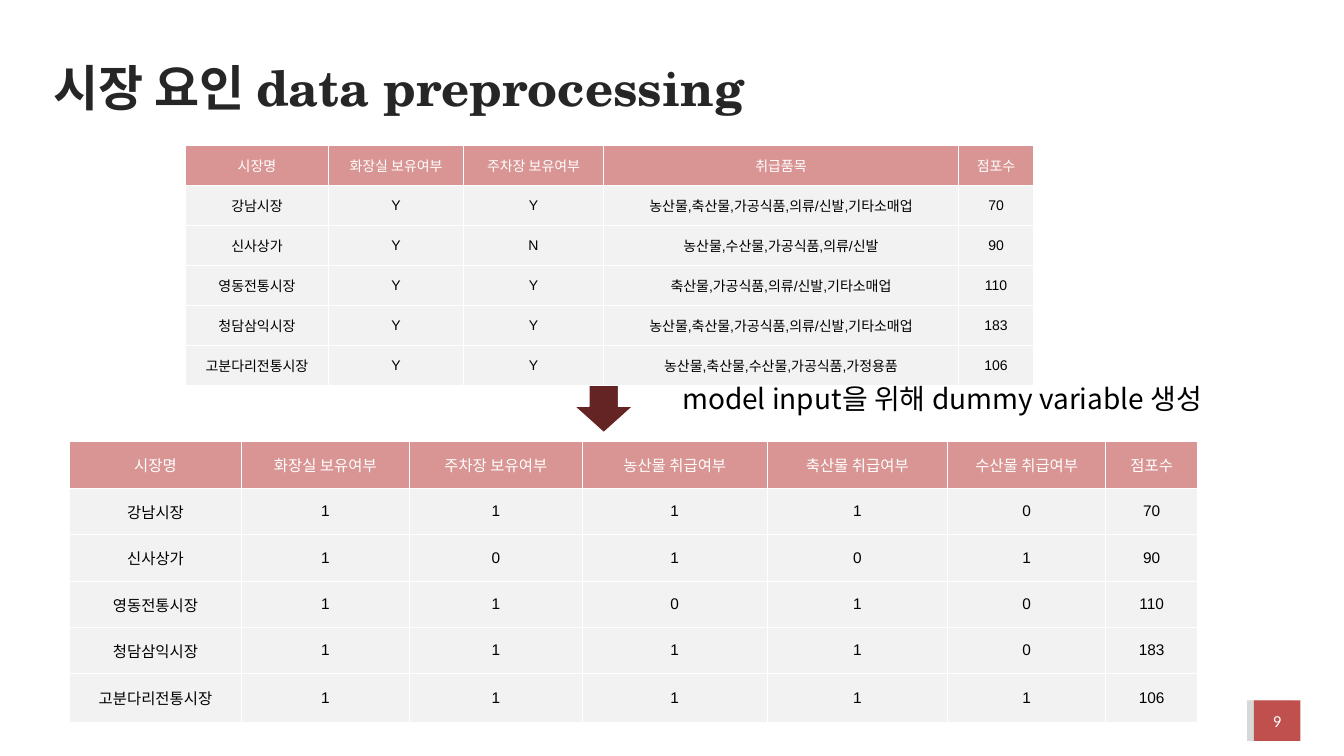
from dataclasses import dataclass

from lxml import etree
from pptx import Presentation
from pptx.dml.color import RGBColor
from pptx.enum import shapes, text
from pptx.oxml import ns
from pptx.util import Cm, Pt


@dataclass(frozen=True)
class Theme:
    white: str = "FFFFFF"
    black: str = "000000"
    title_ink: str = "262626"
    header: str = "D99593"
    body: str = "F2F2F2"
    arrow: str = "632423"
    badge: str = "C0504D"
    badge_edge: str = "D8D8D8"
    title_font: str = "TeX Gyre Schola"
    note_font: str = "Noto Sans CJK KR"
    table_font: str = "Arial"
    number_font: str = "Calibri"
    title_size: int = 35
    note_size: int = 20
    number_size: int = 12
    raw_size: int = 10
    dummy_size: int = 11
    rule: float = 0.75


THEME = Theme()

RAW_HEADER = ["시장명", "화장실 보유여부", "주차장 보유여부", "취급품목", "점포수"]
MARKETS = [
    ("강남시장", "Y", "Y", "농산물,축산물,가공식품,의류/신발,기타소매업", 70),
    ("신사상가", "Y", "N", "농산물,수산물,가공식품,의류/신발", 90),
    ("영동전통시장", "Y", "Y", "축산물,가공식품,의류/신발,기타소매업", 110),
    ("청담삼익시장", "Y", "Y", "농산물,축산물,가공식품,의류/신발,기타소매업", 183),
    ("고분다리전통시장", "Y", "Y", "농산물,축산물,수산물,가공식품,가정용품", 106),
]
DUMMY_GOODS = ["농산물", "축산물", "수산물"]


def dummy_rows():
    """Turn the Y/N answers and the goods lists into 0/1 columns."""
    header = RAW_HEADER[:3] + [f"{goods} 취급여부" for goods in DUMMY_GOODS] + RAW_HEADER[4:]
    rows = [header]
    for name, toilet, parking, goods, stores in MARKETS:
        flags = [toilet == "Y", parking == "Y"]
        flags += [item in goods.split(",") for item in DUMMY_GOODS]
        rows.append([name, *map(int, flags), stores])
    return rows


def rgb(value):
    return RGBColor.from_string(value)


def write(paragraph, words, font, size, color, bold=False):
    run = paragraph.add_run()
    run.text = words
    run.font.name = font
    run.font.size = Pt(size)
    run.font.bold = bold
    run.font.color.rgb = rgb(color)


def add_block(slide, kind, box, fill, line=None):
    block = slide.shapes.add_shape(kind, *map(Cm, box))
    block.shadow.inherit = False
    block.fill.solid()
    block.fill.fore_color.rgb = rgb(fill)
    if line:
        block.line.color.rgb = rgb(line)
        block.line.width = Pt(THEME.rule)
    else:
        block.line.fill.background()
    return block


def add_cell_borders(cell):
    properties = cell._tc.get_or_add_tcPr()
    for side in ("lnL", "lnR", "lnT", "lnB"):
        border = etree.SubElement(properties, ns.qn(f"a:{side}"), w=str(Pt(THEME.rule)))
        fill = etree.SubElement(border, ns.qn("a:solidFill"))
        etree.SubElement(fill, ns.qn("a:srgbClr"), val=THEME.white)


def add_market_table(slide, left, top, widths, heights, rows, size):
    frame = slide.shapes.add_table(len(rows), len(widths), Cm(left), Cm(top),
                                   Cm(sum(widths)), Cm(sum(heights)))
    table = frame.table
    for column, width in zip(table.columns, widths):
        column.width = Cm(width)
    for r, (values, height) in enumerate(zip(rows, heights)):
        table.rows[r].height = Cm(height)
        fill, ink = (THEME.body, THEME.black) if r else (THEME.header, THEME.white)
        for c, value in enumerate(values):
            cell = table.cell(r, c)
            add_cell_borders(cell)
            cell.fill.solid()
            cell.fill.fore_color.rgb = rgb(fill)
            cell.vertical_anchor = text.MSO_ANCHOR.MIDDLE
            cell.margin_left = cell.margin_right = Cm(0.25)
            cell.margin_top = cell.margin_bottom = Cm(0.25)
            paragraph = cell.text_frame.paragraphs[0]
            paragraph.alignment = text.PP_ALIGN.CENTER
            write(paragraph, str(value), THEME.table_font, size, ink)


def add_title(slide, box):
    title = slide.shapes.title
    title.left, title.top, title.width, title.height = map(Cm, box)
    frame = title.text_frame
    frame.auto_size = text.MSO_AUTO_SIZE.NONE
    frame.vertical_anchor = text.MSO_ANCHOR.MIDDLE
    paragraph = frame.paragraphs[0]
    paragraph.alignment = text.PP_ALIGN.LEFT
    paragraph.line_spacing = 0.9
    write(paragraph, "시장 요인 data preprocessing", THEME.title_font,
          THEME.title_size, THEME.title_ink, bold=True)


def add_note(slide, box):
    frame = slide.shapes.add_textbox(*map(Cm, box)).text_frame
    frame.word_wrap = True
    write(frame.paragraphs[0], "model input을 위해 dummy variable 생성",
          THEME.note_font, THEME.note_size, THEME.black)


def add_page_badge(slide, left, top, width, height):
    rectangle = shapes.MSO_SHAPE.RECTANGLE
    add_block(slide, rectangle, (left, top, width, height), THEME.badge_edge)
    badge = add_block(slide, rectangle, (left + 0.17, top, width, height), THEME.badge)
    frame = badge.text_frame
    frame.margin_left = frame.margin_right = frame.margin_top = frame.margin_bottom = 0
    frame.vertical_anchor = text.MSO_ANCHOR.MIDDLE
    paragraph = frame.paragraphs[0]
    paragraph.alignment = text.PP_ALIGN.CENTER
    write(paragraph, "9", THEME.number_font, THEME.number_size, THEME.white)


def build_preprocessing_slide(deck):
    slide = deck.slides.add_slide(deck.slide_layouts[5])
    add_page_badge(slide, 31.43, 17.65, 1.17, 1.02)
    add_title(slide, (1.09, 1.17, 31.67, 2.21))
    add_block(slide, shapes.MSO_SHAPE.DOWN_ARROW, (14.48, 9.58, 1.47, 1.32),
              THEME.arrow, THEME.white)
    add_market_table(slide, 4.67, 3.66, [3.61, 3.4, 3.53, 8.94, 1.9],
                     [0.84] * 6, [RAW_HEADER, *MARKETS], THEME.raw_size)
    add_market_table(slide, 1.75, 11.13, [4.34, 4.22, 4.37, 4.65, 4.55, 3.99, 2.31],
                     [1.17] * 5 + [1.22], dummy_rows(), THEME.dummy_size)
    add_note(slide, (16.94, 9.5, 16.8, 1.12))


def main():
    deck = Presentation()
    deck.slide_width, deck.slide_height = Cm(33.87), Cm(19.05)
    build_preprocessing_slide(deck)
    deck.save("out.pptx")


if __name__ == "__main__":
    main()
